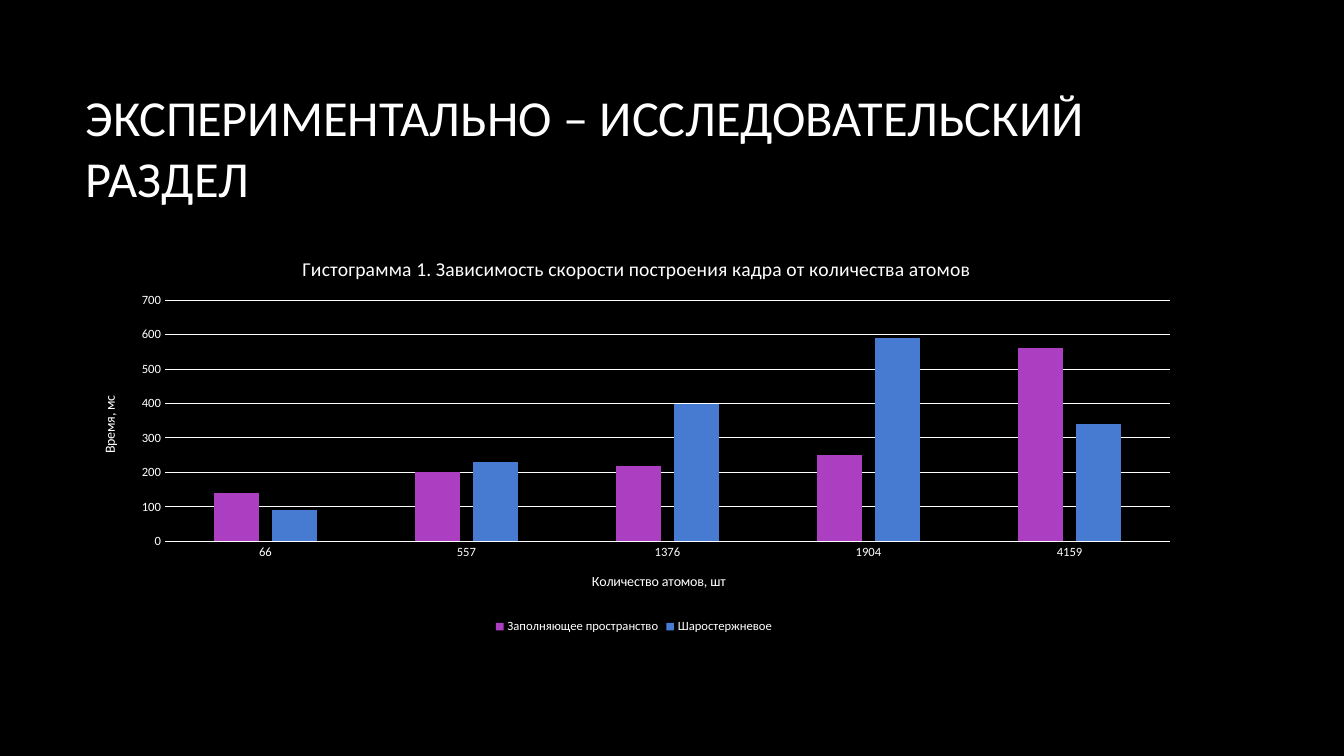
import dataclasses
import pptx
import pptx.util
import pptx.chart.data
import pptx.dml.color
import pptx.enum.chart
import pptx.enum.text
import pptx.oxml

Pt = pptx.util.Pt
RGB = pptx.dml.color.RGBColor


@dataclasses.dataclass(frozen=True)
class Theme:
    font: str = "Calibri"
    back: str = "000000"
    ink: str = "FFFFFF"
    head: float = 36
    title: float = 14
    axis: float = 10
    label: float = 9
    line: float = 0.75


@dataclasses.dataclass(frozen=True)
class Box:
    left: float
    top: float
    width: float
    height: float

    def place(self) -> list:
        return [Pt(v) for v in dataclasses.astuple(self)]


@dataclasses.dataclass(frozen=True)
class Series:
    name: str
    color: str
    values: tuple[int, ...]


@dataclasses.dataclass(frozen=True)
class Title:
    owner: object
    text: str
    size: float
    x: float
    y: float


THEME = Theme()
HEAD = Box(54, 47.5, 797.76, 114.48)
PLOT = Box(54, 168.48, 797.76, 287.28)
ATOMS = ("66", "557", "1376", "1904", "4159")
SERIES = (
    Series("Заполняющее пространство", "AC3EC1", (140, 200, 220, 250, 560)),
    Series("Шаростержневое", "477BD1", (90, 230, 400, 590, 340)),
)


def style(font, size: float) -> None:
    font.name = THEME.font
    font.size = Pt(size)
    font.bold = False
    font.color.rgb = RGB.from_string(THEME.ink)


def write(frame, text: str, *, size: float) -> None:
    run = frame.paragraphs[0].add_run()
    run.text = text
    style(run.font, size)


def layout(x: float, y: float, size: tuple[float, ...] = ()):
    target = '<c:layoutTarget val="inner"/>' if size else ""
    keys = ("x", "y", "w", "h")
    modes = "".join(f'<c:{k}Mode val="edge"/>' for k in keys[:2])
    values = "".join(f'<c:{k} val="{v}"/>' for k, v in zip(keys, (x, y, *size)))
    return pptx.oxml.parse_xml(
        '<c:layout xmlns:c="http://schemas.openxmlformats.org/drawingml/2006/chart">'
        f"<c:manualLayout>{target}{modes}{values}</c:manualLayout></c:layout>"
    )


def arrange(node, place) -> None:
    for old in node.xpath("c:layout"):
        node.remove(old)
    texts = node.xpath("c:tx")
    if texts:
        texts[0].addnext(place)
    else:
        node.insert(0, place)


def label(item: Title) -> None:
    item.owner.has_title = True
    if hasattr(item.owner, "axis_title"):
        title = item.owner.axis_title
    else:
        title = item.owner.chart_title
        title.include_in_layout = False
    write(title.text_frame, item.text, size=item.size)
    arrange(title.text_frame._txBody.getparent().getparent(), layout(item.x, item.y))


def rule(line) -> None:
    line.color.rgb = RGB.from_string(THEME.ink)
    line.width = Pt(THEME.line)


def draw(slide) -> None:
    data = pptx.chart.data.CategoryChartData()
    data.categories = ATOMS
    for item in SERIES:
        data.add_series(item.name, item.values)
    kind = pptx.enum.chart.XL_CHART_TYPE.COLUMN_CLUSTERED
    chart = slide.shapes.add_chart(kind, *PLOT.place(), data).chart
    style(chart.font, THEME.axis)

    plot = chart.plots[0]
    plot.gap_width = 219
    plot.overlap = -27
    plot.vary_by_categories = False
    for bar, item in zip(plot.series, SERIES):
        bar.format.fill.solid()
        bar.format.fill.fore_color.rgb = RGB.from_string(item.color)
        bar.invert_if_negative = False

    across, up = chart.category_axis, chart.value_axis
    for axis in (across, up):
        axis.major_tick_mark = pptx.enum.chart.XL_TICK_MARK.NONE
        axis.minor_tick_mark = pptx.enum.chart.XL_TICK_MARK.NONE
        style(axis.tick_labels.font, THEME.label)
    up.minimum_scale, up.maximum_scale, up.major_unit = 0, 700, 100
    up.format.line.fill.background()
    rule(across.format.line)
    rule(up.major_gridlines.format.line)

    titles = (
        Title(
            chart,
            "Гистограмма 1. Зависимость скорости построения кадра от количества атомов",
            THEME.title, 0.2, 0.04,
        ),
        Title(across, "Количество атомов, шт", THEME.axis, 0.46, 0.83),
        Title(up, "Время, мс", THEME.axis, 0.02, 0.39),
    )
    for item in titles:
        label(item)
    up.axis_title.text_frame._txBody.bodyPr.set("rot", "-5400000")
    up.axis_title.text_frame._txBody.bodyPr.set("vert", "horz")
    arrange(chart._chartSpace.chart.plotArea, layout(0.08, 0.16, (0.9, 0.6)))

    chart.has_legend = True
    chart.legend.position = pptx.enum.chart.XL_LEGEND_POSITION.BOTTOM
    chart.legend.include_in_layout = False
    style(chart.legend.font, THEME.label)


def main() -> None:
    deck = pptx.Presentation()
    deck.slide_width, deck.slide_height = Pt(960), Pt(540)
    slide = deck.slides.add_slide(deck.slide_layouts[6])
    slide.background.fill.solid()
    slide.background.fill.fore_color.rgb = RGB.from_string(THEME.back)
    frame = slide.shapes.add_textbox(*HEAD.place()).text_frame
    frame.word_wrap = True
    frame.vertical_anchor = pptx.enum.text.MSO_ANCHOR.MIDDLE
    write(frame, "ЭКСПЕРИМЕНТАЛЬНО – ИССЛЕДОВАТЕЛЬСКИЙ РАЗДЕЛ", size=THEME.head)
    draw(slide)
    deck.save("out.pptx")


if __name__ == "__main__":
    main()
